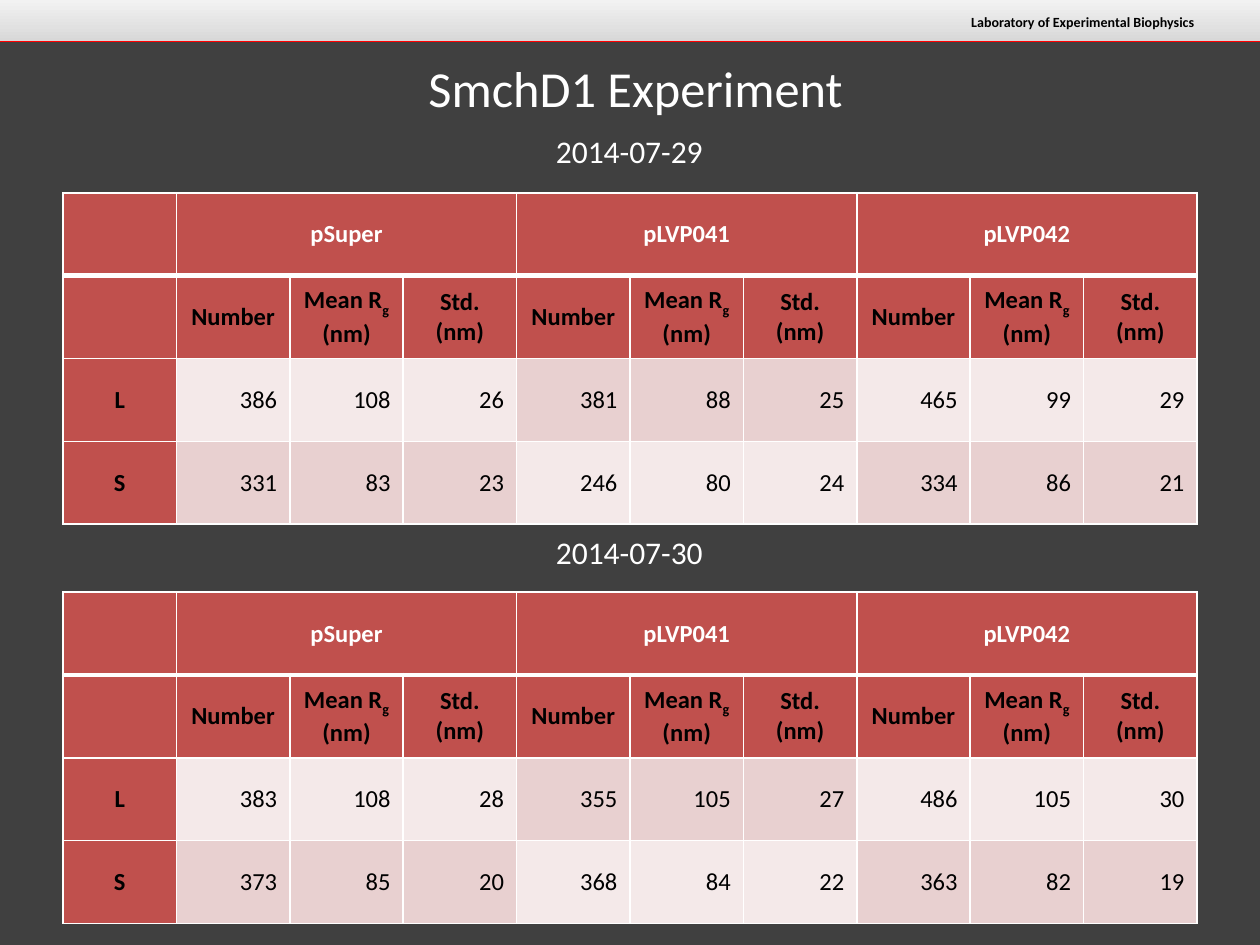
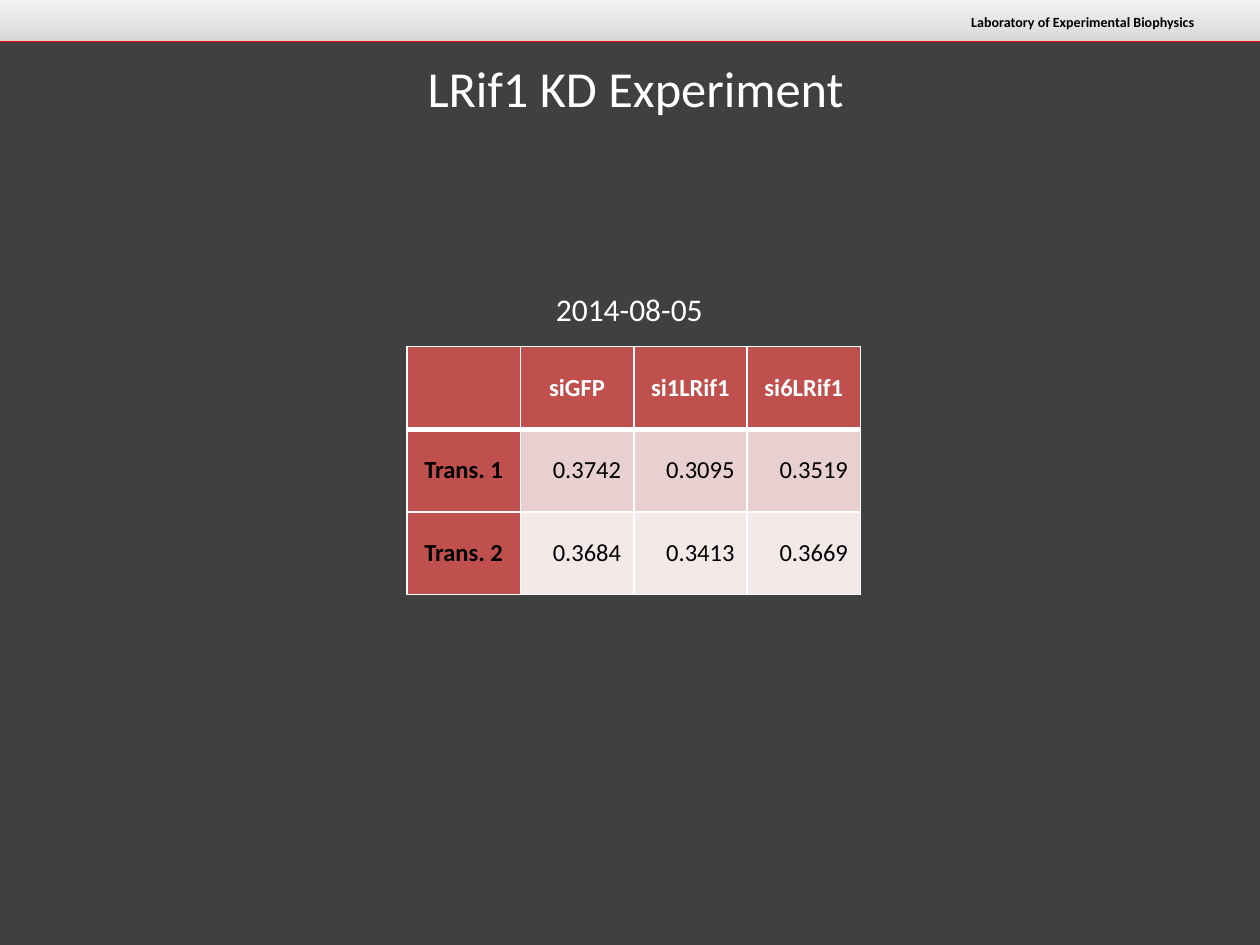
from lxml import etree
from pptx import Presentation
from pptx.dml.color import RGBColor
from pptx.enum.shapes import MSO_CONNECTOR, MSO_SHAPE
from pptx.enum.text import MSO_ANCHOR as ANCHOR, PP_ALIGN as ALIGN
from pptx.oxml.ns import qn
from pptx.util import Inches, Pt

FONT = "Calibri"
WHITE, BLACK, RED = "FFFFFF", "000000", "FF0000"
BACKGROUND = "404040"
BAND_BOTTOM, BAND_TOP = "D8D8D8", "F2F2F2"
HEADER_FILL, LIGHT_ROW, DARK_ROW = "C0504D", "F4E9E9", "E8D0D0"

GROUP = 3  # data columns per colour group
PLASMIDS = ["pSuper", "pLVP041", "pLVP042"]
MEASURES = ["Number", "Mean R_g\n(nm)", "Std.\n(nm)"]


def rgb(value):
    return RGBColor.from_string(value)


def style_run(r, size, color, bold):
    r.font.name, r.font.size, r.font.bold = FONT, Pt(size), bold
    r.font.color.rgb = rgb(color)


def style_text(tf, size, color, align, bold=False):
    for p in tf.paragraphs:
        p.alignment = align
        for r in p.runs:
            style_run(r, size, color, bold)


def add_text(slide, box, text, size, color, align=ALIGN.CENTER, bold=False):
    sp = slide.shapes.add_textbox(*map(Inches, box))
    tf = sp.text_frame
    tf.word_wrap = True
    tf.text = text
    style_text(tf, size, color, align, bold)
    return tf


# Header band shared by all slides
def add_header(slide, left, top, width, height):
    band = slide.shapes.add_shape(
        MSO_SHAPE.RECTANGLE, *map(Inches, (left, top, width, height)))
    band.shadow.inherit = False
    band.line.fill.background()
    band.fill.gradient()
    band.fill.gradient_angle = 90
    for stop, color in zip(band.fill.gradient_stops, (BAND_BOTTOM, BAND_TOP)):
        stop.color.rgb = rgb(color)
    add_text(slide, (left + width - 2.44, top + 0.06, 2.02, 0.24),
             "Laboratory of Experimental Biophysics", 8, BLACK, ALIGN.RIGHT, True)

    bottom = Inches(top + height)
    rule = slide.shapes.add_connector(
        MSO_CONNECTOR.STRAIGHT, Inches(left), bottom, Inches(left + width), bottom)
    rule.line.color.rgb = rgb(RED)
    rule.line.width = Pt(0.75)
    etree.SubElement(rule._element.spPr, qn("a:effectLst"))


# Title with a soft shadow behind the letters
def add_title(slide, text):
    tf = add_text(slide, (0.17, 0.38, 9.75, 0.62), text, 28.8, WHITE)
    tf.vertical_anchor = ANCHOR.MIDDLE
    rPr = tf.paragraphs[0].runs[0]._r.get_or_add_rPr()
    effects = etree.Element(qn("a:effectLst"))
    shadow = etree.SubElement(effects, qn("a:outerShdw"), blurRad="38100",
                              dist="38100", dir="2700000", algn="tl")
    color = etree.SubElement(shadow, qn("a:srgbClr"), val=BLACK)
    etree.SubElement(color, qn("a:alpha"), val="43000")
    rPr.find(qn("a:solidFill")).addnext(effects)


def add_slide(prs, title):
    slide = prs.slides.add_slide(prs.slide_layouts[6])
    slide.background.fill.solid()
    slide.background.fill.fore_color.rgb = rgb(BACKGROUND)
    add_header(slide, 0, 0, 10, 0.33)
    add_title(slide, title)
    return slide


def set_borders(cell, top, bottom):
    tcPr = cell._tc.get_or_add_tcPr()
    for side, width in (("L", 1), ("R", 1), ("T", top), ("B", bottom)):
        ln = etree.SubElement(tcPr, qn(f"a:ln{side}"), w=str(Pt(width)))
        fill = etree.SubElement(ln, qn("a:solidFill"))
        etree.SubElement(fill, qn("a:srgbClr"), val=WHITE)


def fill_cell(cell, text, row, col, header_rows):
    is_header = row < header_rows or col == 0
    set_borders(cell, 3 if row == 1 else 1, 3 if row == 0 else 1)
    if is_header:
        fill = HEADER_FILL
    else:
        fill = (LIGHT_ROW, DARK_ROW)[(row + (col - 1) // GROUP) % 2]
    cell.fill.solid()
    cell.fill.fore_color.rgb = rgb(fill)
    cell.vertical_anchor = ANCHOR.MIDDLE

    # An underscore marks the start of a subscript
    tf = cell.text_frame
    for i, line in enumerate(text.split("\n")):
        p = tf.add_paragraph() if i else tf.paragraphs[0]
        base, _, subscript = line.partition("_")
        p.text = base
        if subscript:
            r = p.add_run()
            r.text = subscript
            r._r.get_or_add_rPr().set("baseline", "-25000")
    style_text(tf, 14, BLACK if row else WHITE,
               ALIGN.CENTER if is_header else ALIGN.RIGHT, is_header)


# Table of results: header rows on top, row labels at the left
def add_results(slide, box, rows, header_rows=1):
    table = slide.shapes.add_table(
        len(rows), len(rows[0]), *map(Inches, box)).table
    for i, row in enumerate(rows):
        for j, value in enumerate(row):
            fill_cell(table.cell(i, j), str(value), i, j, header_rows)
    return table


def add_date(slide, top, text):
    add_text(slide, (3.87, top, 2.25, 0.42), text, 18, WHITE)


def add_plasmid_table(slide, top, large, small):
    names = [name for plasmid in PLASMIDS for name in (plasmid, "", "")]
    rows = [["", *names], ["", *MEASURES * len(PLASMIDS)],
            ["L", *large], ["S", *small]]
    table = add_results(slide, (0.5, top, 9, 2.63), rows, header_rows=2)
    for col in range(1, len(names), GROUP):
        table.cell(0, col).merge(table.cell(0, col + GROUP - 1))


def build_smchd1(prs):
    slide = add_slide(prs, "SmchD1 Experiment")
    add_date(slide, 1, "2014-07-29")
    add_plasmid_table(slide, 1.53,
                      [386, 108, 26, 381, 88, 25, 465, 99, 29],
                      [331, 83, 23, 246, 80, 24, 334, 86, 21])
    add_date(slide, 4.18, "2014-07-30")
    add_plasmid_table(slide, 4.7,
                      [383, 108, 28, 355, 105, 27, 486, 105, 30],
                      [373, 85, 20, 368, 84, 22, 363, 82, 19])


def build_lrif1(prs):
    slide = add_slide(prs, "LRif1 KD Experiment")
    add_date(slide, 2.25, "2014-08-05")
    add_results(slide, (3.23, 2.75, 3.6, 1.97), [
        ["", "siGFP", "si1LRif1", "si6LRif1"],
        ["Trans. 1", 0.3742, 0.3095, 0.3519],
        ["Trans. 2", 0.3684, 0.3413, 0.3669],
    ])


def main():
    prs = Presentation()
    prs.slide_width, prs.slide_height = Inches(10), Inches(7.5)
    build_smchd1(prs)
    build_lrif1(prs)
    prs.save("out.pptx")


if __name__ == "__main__":
    main()
